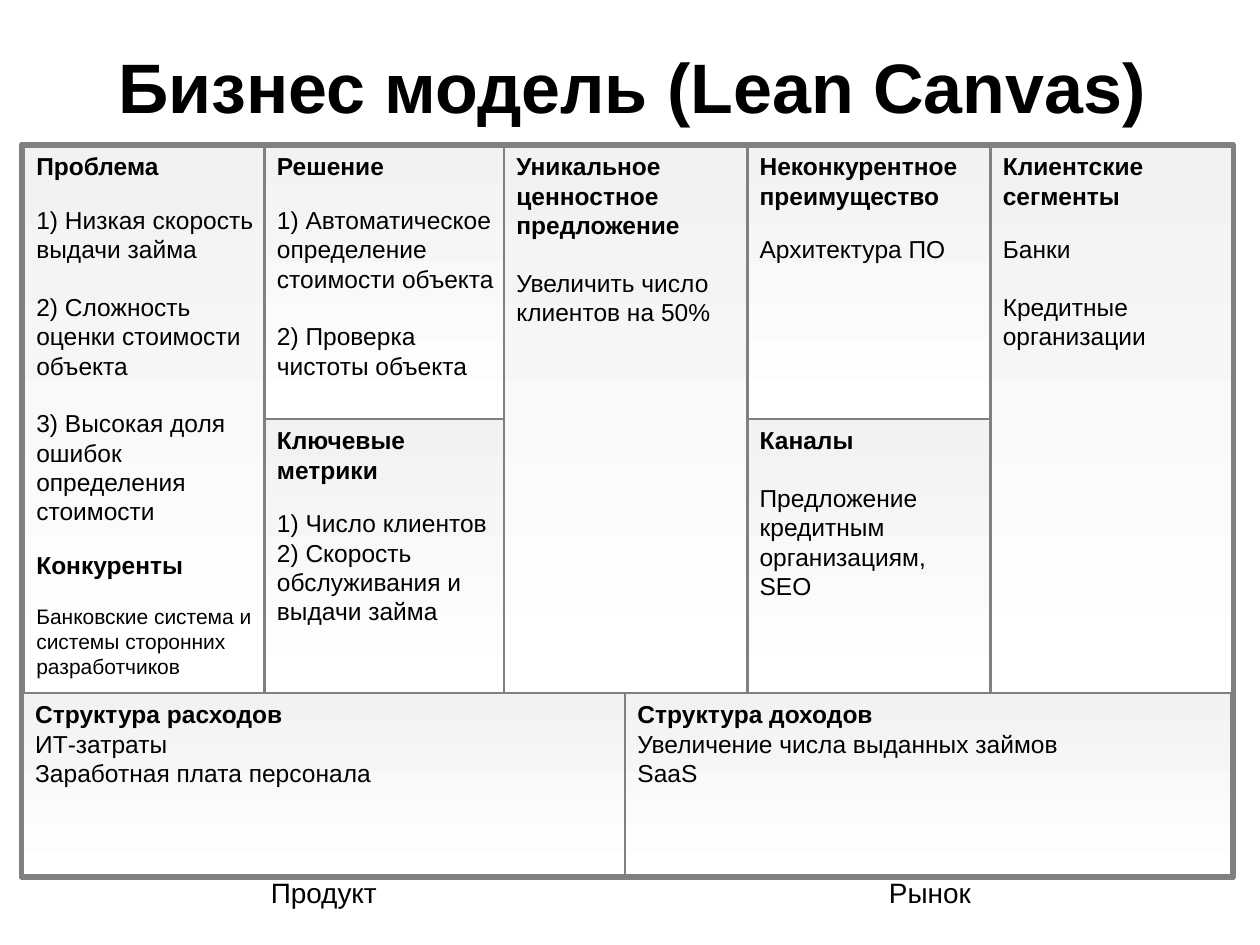
from pptx import Presentation
from pptx.dml.color import RGBColor
from pptx.enum.shapes import MSO_SHAPE as SHAPE
from pptx.enum.text import MSO_ANCHOR as ANCHOR, MSO_AUTO_SIZE as AUTO, PP_ALIGN as ALIGN
from pptx.util import Pt

COLORS = {"text": "000000", "line": "808080", "top": "F2F2F2", "bottom": "FFFFFF"}


def color(name):
    return RGBColor.from_string(COLORS[name])


def style(p, text, size, bold=False):
    p.text = text
    p.font.name = "Arial"
    p.font.size = Pt(size)
    p.font.bold = bold
    p.font.color.rgb = color("text")


prs = Presentation()
prs.slide_width, prs.slide_height = Pt(720), Pt(540)
s = prs.slides.add_slide(prs.slide_layouts[5])

# Title
title = s.shapes.title
title.left, title.top, title.width, title.height = Pt(38), Pt(21), Pt(646), Pt(56)
title.text_frame.auto_size = AUTO.NONE
style(title.text_frame.paragraphs[0], "Бизнес модель (Lean Canvas)", 40, True)
title.text_frame.paragraphs[0].alignment = ALIGN.CENTER

# Canvas grid
TOP, HALF, BASE = 82.8, 156.6, 105.1
FULL = 2 * HALF
MID, BOTTOM = TOP + HALF, TOP + FULL
COL_W, BASE_W = 139, 346.3
X = [13.7, 151.2, 288, 427, 566]
SMALL, LARGE = 13.8, 16.1  # gaps of one 12 pt or 14 pt line

# Each cell: left, top, width, height, heading, then (gap before, text, size, bold)
cells = [
    (13, BOTTOM, BASE_W, BASE, "Структура расходов", [
        (0, "ИТ-затраты", 14, False),
        (0, "Заработная плата персонала", 14, False)]),
    (X[0], TOP, COL_W, FULL, "Проблема", [
        (SMALL, "1) Низкая скорость выдачи займа", 14, False),
        (LARGE, "2) Сложность оценки стоимости объекта", 14, False),
        (LARGE, "3) Высокая доля ошибок определения стоимости", 14, False),
        (SMALL, "Конкуренты", 14, True),
        (SMALL, "Банковские система и системы сторонних разработчиков", 12, False)]),
    (X[1], TOP, COL_W, HALF, "Решение", [
        (SMALL, "1) Автоматическое определение стоимости объекта", 14, False),
        (LARGE, "2) Проверка чистоты объекта", 14, False)]),
    (X[1], MID, COL_W, HALF, "Ключевые метрики", [
        (SMALL, "1) Число клиентов", 14, False),
        (0, "2) Скорость обслуживания и выдачи займа", 14, False)]),
    (X[2], TOP, COL_W, FULL, "Уникальное ценностное предложение", [
        (LARGE, "Увеличить число клиентов на 50%", 14, False)]),
    (X[3], TOP, COL_W, HALF, "Неконкурентное преимущество", [
        (SMALL, "Архитектура ПО", 14, False)]),
    (X[3], MID, COL_W, HALF, "Каналы", [
        (LARGE, "Предложение кредитным организациям, SEO", 14, False)]),
    (X[4], TOP, COL_W, FULL, "Клиентские сегменты", [
        (SMALL, "Банки", 14, False),
        (LARGE, "Кредитные организации", 14, False)]),
    (357.2, BOTTOM, BASE_W, BASE, "Структура доходов", [
        (0, "Увеличение числа выданных займов", 14, False),
        (0, "SaaS", 14, False)]),
]
for left, top, width, height, heading, lines in cells:
    cell = s.shapes.add_shape(SHAPE.ROUNDED_RECTANGLE, Pt(left), Pt(top), Pt(width), Pt(height))
    cell.adjustments[0] = 0
    cell.shadow.inherit = False
    cell.fill.gradient()
    cell.fill.gradient_angle = 270
    for stop, name in zip(cell.fill.gradient_stops, ("top", "bottom")):
        stop.color.rgb = color(name)
    cell.line.color.rgb = color("line")
    cell.line.width = Pt(1.5)
    tf = cell.text_frame
    tf.word_wrap = True
    tf.vertical_anchor = ANCHOR.TOP
    for i, (gap, text, size, bold) in enumerate([(0, heading, 14, True)] + lines):
        p = tf.add_paragraph() if i else tf.paragraphs[0]
        style(p, text, size, bold)
        p.alignment = ALIGN.LEFT
        p.space_before = Pt(gap)

# Outer frame
frame = s.shapes.add_shape(SHAPE.ROUNDED_RECTANGLE, Pt(12.2), Pt(TOP), Pt(692.6), Pt(FULL + BASE))
frame.adjustments[0] = 0
frame.shadow.inherit = False
frame.fill.background()
frame.line.color.rgb = color("line")
frame.line.width = Pt(3)

# Captions under the two halves
for left, width, text in [(146.9, 76.3, "Продукт"), (500.4, 62, "Рынок")]:
    caption = s.shapes.add_textbox(Pt(left), Pt(496.8), Pt(width), Pt(26.6))
    tf = caption.text_frame
    tf.word_wrap = False
    style(tf.paragraphs[0], text, 16)
    tf.paragraphs[0].alignment = ALIGN.CENTER

prs.save("out.pptx")
